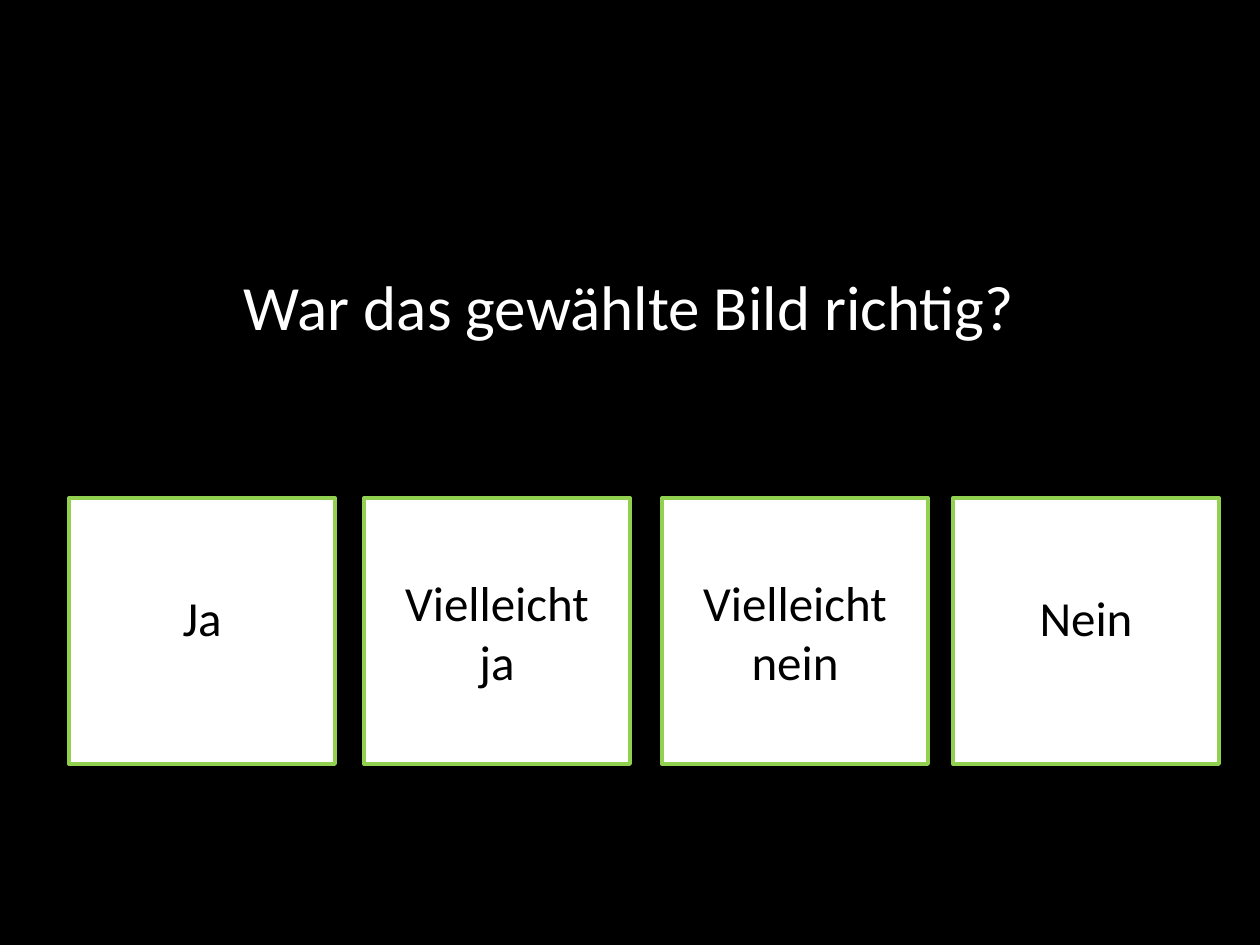
from dataclasses import dataclass

from pptx import Presentation
from pptx.dml.color import RGBColor
from pptx.enum.shapes import MSO_SHAPE
from pptx.enum.text import MSO_ANCHOR, MSO_AUTO_SIZE, PP_ALIGN
from pptx.util import Emu, Pt

RECTANGLE = MSO_SHAPE.RECTANGLE
TOP = MSO_ANCHOR.TOP
GROW = MSO_AUTO_SIZE.SHAPE_TO_FIT_TEXT
LEFT, CENTER = PP_ALIGN.LEFT, PP_ALIGN.CENTER
EMU_PER_PIXEL = 914400 / 126
TITLE_ONLY = 5

CARD_TOP, CARD_SIZE = 498, 266
ANSWERS = [
    ("Ja", 69, 581, 67, 72),
    ("Vielleicht ja", 364, 566, 210, 131),
    ("Vielleicht nein", 662, 566, 210, 131),
    ("Nein", 953, 581, 210, 72),
]


@dataclass(frozen=True)
class Theme:
    """Colours, font and type sizes of the slide."""
    background: RGBColor = RGBColor(0, 0, 0)
    card: RGBColor = RGBColor(255, 255, 255)
    border: RGBColor = RGBColor(0x92, 0xD0, 0x50)
    question: RGBColor = RGBColor(255, 255, 255)
    answer: RGBColor = RGBColor(0, 0, 0)
    font: str = "Calibri"
    question_size: float = 36
    answer_size: float = 28
    border_width: float = 2.25


THEME = Theme()


def px(pixels):
    """Turn pixels into EMU."""
    return Emu(round(pixels * EMU_PER_PIXEL))


def write(box, text, size, color, alignment):
    """Put one formatted run into a box that grows with its text."""
    frame = box.text_frame
    frame.word_wrap = True
    frame.auto_size = GROW
    frame.vertical_anchor = TOP
    para = frame.paragraphs[0]
    para.alignment = alignment
    span = para.add_run()
    span.text = text
    span.font.name = THEME.font
    span.font.size = Pt(size)
    span.font.color.rgb = color


def add_question(page, text, left, top, width, height):
    """Place the question in the title placeholder."""
    title = page.shapes.title
    title.left, title.top = px(left), px(top)
    title.width, title.height = px(width), px(height)
    write(title, text, THEME.question_size, THEME.question, LEFT)


def add_card(page, left):
    """Draw one square answer card."""
    card = page.shapes.add_shape(
        RECTANGLE, px(left), px(CARD_TOP), px(CARD_SIZE), px(CARD_SIZE))
    card.shadow.inherit = False
    card.fill.solid()
    card.fill.fore_color.rgb = THEME.card
    card.line.color.rgb = THEME.border
    card.line.width = Pt(THEME.border_width)


def add_answer(page, text, card_left, top, width, height):
    """Draw a card with its label centred across it."""
    add_card(page, card_left)
    left = card_left + (CARD_SIZE - width) / 2
    label = page.shapes.add_textbox(px(left), px(top), px(width), px(height))
    write(label, text, THEME.answer_size, THEME.answer, CENTER)


def main():
    """Build and save the slide."""
    deck = Presentation()
    deck.slide_width, deck.slide_height = px(1260), px(945)
    page = deck.slides.add_slide(deck.slide_layouts[TITLE_ONLY])
    page.background.fill.solid()
    page.background.fill.fore_color.rgb = THEME.background
    add_question(page, "War das gewählte Bild richtig?", 231, 261, 800, 89)
    for answer in ANSWERS:
        add_answer(page, *answer)
    deck.save("out.pptx")


main()
